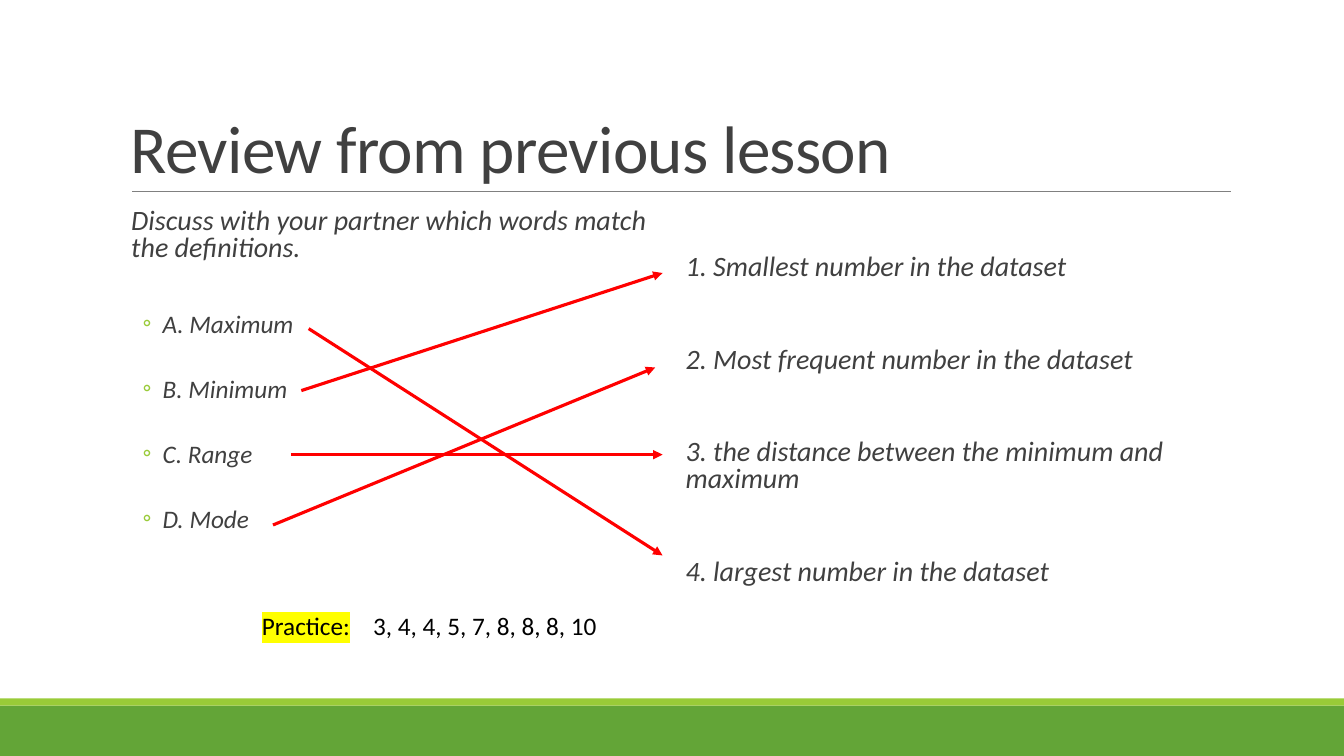
from lxml import etree
from pptx import Presentation
from pptx import util as u
from pptx.dml.color import RGBColor
from pptx.enum import shapes, text
from pptx.oxml.ns import qn

PX = 9525  # 96 px to the inch
FONT = "Calibri"
COLORS = {
    "green": "63A537", "lime": "99CB38", "rule": "808080", "body": "404040",
    "arrow": "FF0000", "black": "000000", "highlight": "FFFF00",
}
TERMS = ["A. Maximum", "B. Minimum", "C. Range", "D. Mode"]
DEFINITIONS = [
    "1. Smallest number in the dataset",
    "2. Most frequent number in the dataset",
    "3. the distance between the minimum and maximum",
    "4. largest number in the dataset",
]
MATCHES = [
    ((294, 313), (631, 529)),
    ((287, 372), (631, 260)),
    ((277, 433), (631, 433)),
    ((260, 500), (624, 350)),
]


def px(*lengths):
    return [u.Emu(length * PX) for length in lengths]


def color(name):
    return RGBColor.from_string(COLORS[name])


def add_element(parent, tag, **attributes):
    return etree.SubElement(parent, qn(tag), attributes)


def format_runs(para, size, color_name, italic=False):
    for span in para.runs:
        span.font.size = u.Pt(size)
        span.font.name = FONT
        span.font.italic = italic
        span.font.color.rgb = color(color_name)


def add_band(page, top, height, color_name):
    band = page.shapes.add_shape(
        shapes.MSO_SHAPE.RECTANGLE, *px(0, top, 1280, height))
    band.shadow.inherit = False
    band.fill.solid()
    band.fill.fore_color.rgb = color(color_name)
    band.line.fill.background()


def add_line(page, start, end, color_name, width, arrow=False):
    line = page.shapes.add_connector(
        shapes.MSO_CONNECTOR.STRAIGHT, *px(*start, *end))
    line.line.color.rgb = color(color_name)
    line.line.width = u.Pt(width)
    if arrow:
        add_element(line.line._get_or_add_ln(), "a:tailEnd", type="triangle")
    add_element(line._element.spPr, "a:effectLst")


def set_title(page, words):
    title = page.shapes.title
    title.left, title.top, title.width, title.height = px(115, 30, 1056, 153)
    frame = title.text_frame
    frame.text = words
    frame.auto_size = text.MSO_AUTO_SIZE.NONE
    frame.vertical_anchor = text.MSO_ANCHOR.BOTTOM
    para = frame.paragraphs[0]
    para.alignment = text.PP_ALIGN.LEFT
    para.line_spacing = 0.85
    format_runs(para, 48, "body")
    para.runs[0]._r.get_or_add_rPr().set("spc", "-50")


def add_column(page, left, top, height):
    box = page.shapes.add_textbox(*px(left, top, 528, height))
    frame = box.text_frame
    frame.word_wrap = True
    frame.margin_left = frame.margin_right = 0
    return frame


def add_item(frame, words, size, gap, bullet=False):
    """Fill the first paragraph, or add one that stands gap points lower."""
    first = not frame.text
    para = frame.paragraphs[0] if first else frame.add_paragraph()
    para.text = words
    properties = para._p.get_or_add_pPr()
    properties.set("marL", str((40 if bullet else 10) * PX))
    properties.set("indent", str(-19 * PX if bullet else 0))
    if bullet:
        fill = add_element(properties, "a:buClr")
        add_element(fill, "a:srgbClr", val=COLORS["lime"])
        add_element(properties, "a:buFont", typeface=FONT)
        add_element(properties, "a:buChar", char="◦")
    para.line_spacing = 0.8
    para.space_before = u.Pt(0 if first else gap)
    format_runs(para, size, "body", italic=True)


def add_practice(page, label, numbers):
    box = page.shapes.add_textbox(*px(240, 577, 893, 38))
    box.text_frame.word_wrap = True
    para = box.text_frame.paragraphs[0]
    tabs = add_element(para._p.get_or_add_pPr(), "a:tabLst")
    add_element(tabs, "a:tab", pos=str(106 * PX), algn="l")
    for words in (label, "\t" + numbers):
        para.add_run().text = words
    format_runs(para, 18, "black")
    highlight = etree.Element(qn("a:highlight"))
    add_element(highlight, "a:srgbClr", val=COLORS["highlight"])
    para.runs[0]._r.rPr.find(qn("a:solidFill")).addnext(highlight)


def main():
    deck = Presentation()
    deck.slide_width, deck.slide_height = px(1280, 720)
    page = deck.slides.add_slide(deck.slide_layouts[5])

    add_band(page, 672, 48, "green")
    add_band(page, 665, 7, "lime")
    add_line(page, (126, 182), (1172, 182), "rule", 0.5)
    set_title(page, "Review from previous lesson")

    terms = add_column(page, 115, 194, 330)
    add_item(terms, "Discuss with your partner which words match "
                    "the definitions.", 20, 0)
    for number, term in enumerate(TERMS):
        add_item(terms, term, 18, 29 if number else 37, bullet=True)

    definitions = add_column(page, 643, 238, 340)
    for definition in DEFINITIONS:
        add_item(definitions, definition, 20, 47)

    for start, end in MATCHES:
        add_line(page, start, end, "arrow", 2.25, arrow=True)
    add_practice(page, "Practice:", "3, 4, 4, 5, 7, 8, 8, 8, 10")
    deck.save("out.pptx")


if __name__ == "__main__":
    main()
